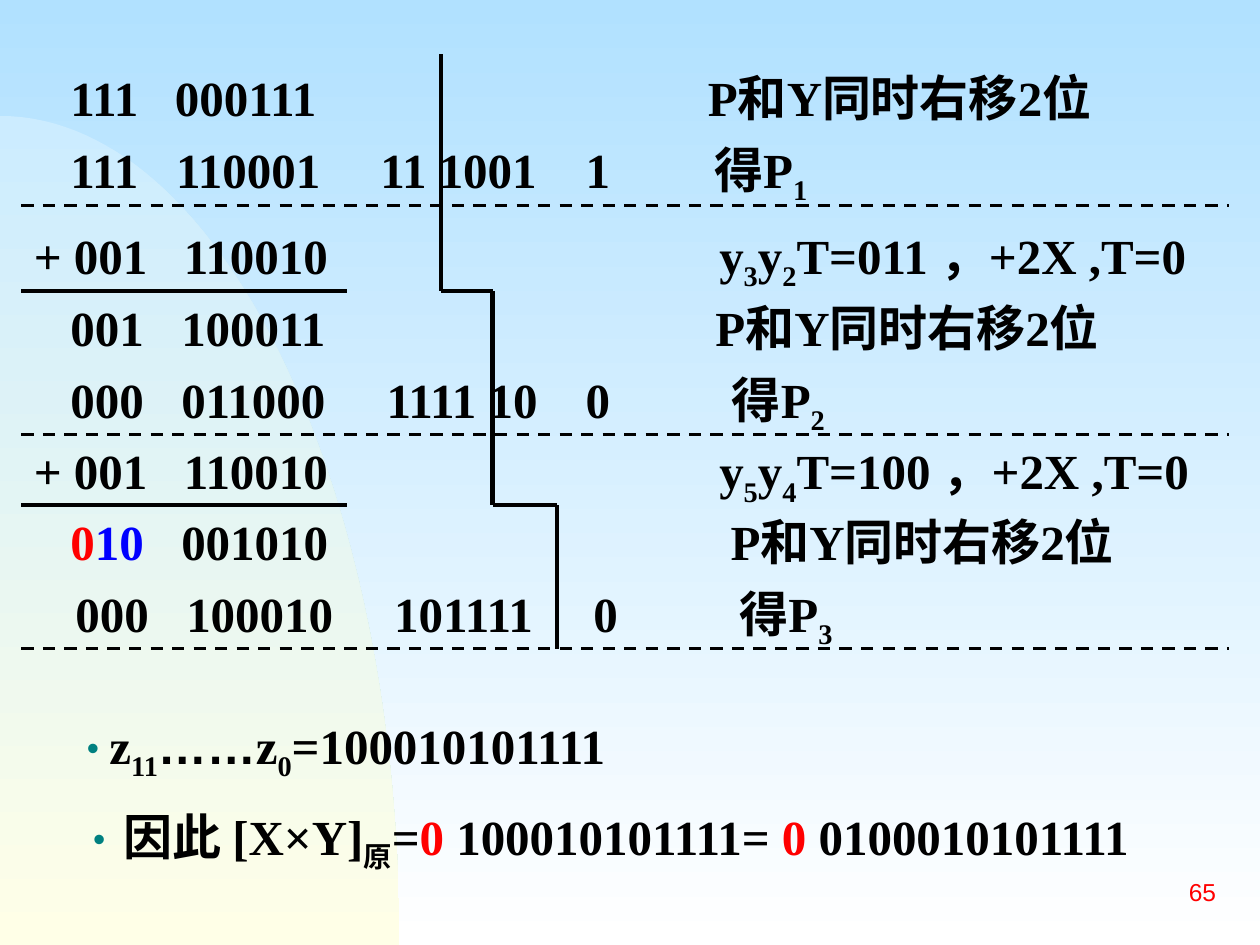
from lxml import etree
from pptx import Presentation
from pptx.dml.color import RGBColor
from pptx.enum.dml import MSO_LINE
from pptx.enum.shapes import MSO_CONNECTOR
from pptx.enum.text import MSO_ANCHOR, PP_ALIGN
from pptx.oxml.ns import qn
from pptx.util import Inches, Pt

STRAIGHT = MSO_CONNECTOR.STRAIGHT
DASH = MSO_LINE.DASH
MIDDLE = MSO_ANCHOR.MIDDLE
RIGHT = PP_ALIGN.RIGHT

BLACK, RED, BLUE, TEAL = "000000", "FF0000", "0000FF", "008080"
SKY = ("B1E1FF", "FFFFFF")
HILL = ("CCECFF", "FFFFE7")
HILL_CURVE = ((0, 0.92), (1.75, 0.92), (3.17, 3.87), (3.17, 7.5))
CURVE_STEPS = 60

BASE = {"name": "Times New Roman", "size": Pt(28), "bold": True}
SUB = {"sub": True}
SHIFT = "P和Y同时右移2位"

LEFT, WIDTH, INSET = 0.17, 9.58, 0.1
TEXT_LEFT = LEFT + INSET

STEPS = [
    (0.49, [(0.56, ["111"]), (1.39, ["000111"]), (5.62, [SHIFT])]),
    (1.06, [(0.56, ["111"]), (1.4, ["110001"]), (3.02, ["11 1001"]),
            (4.65, ["1"]), (5.67, ["得P", ("1", SUB)])]),
    (1.74, [(0.27, ["+ 001"]), (1.46, ["110010"]),
            (5.71, ["y", ("3", SUB), "y", ("2", SUB), "T=011 ，+2X ,T=0"])]),
    (2.31, [(0.56, ["001"]), (1.44, ["100011"]), (5.68, [SHIFT])]),
    (2.88, [(0.56, ["000"]), (1.44, ["011000"]), (3.07, ["1111 10"]),
            (4.65, ["0"]), (5.81, ["得P", ("2", SUB)])]),
    (3.45, [(0.27, ["+ 001"]), (1.46, ["110010"]),
            (5.71, ["y", ("5", SUB), "y", ("4", SUB), "T=100 ，+2X ,T=0"])]),
    (4.01, [(0.56, [("0", {"color": RED}), ("10", {"color": BLUE})]),
            (1.44, ["001010"]), (5.8, [SHIFT])]),
    (4.58, [(0.6, ["000"]), (1.48, ["100010"]), (3.13, ["101111"]),
            (4.71, ["0"]), (5.87, ["得P", ("3", SUB)])]),
]
RESULTS = [
    {"box": (5.47, 5.25, 0.79), "margin": 0.6, "hang": 0.18, "spacing": 1.3,
     "runs": ["z", ("11", SUB), ("……", {"name": "Arial"}), "z", ("0", SUB),
              "=100010101111"]},
    {"box": (6.35, 9.58, 0.63), "margin": 0.71, "hang": 0.24, "spacing": 1.0,
     "runs": ["因此 [X×Y]", ("原", SUB), "=", ("0", {"color": RED}),
              " 100010101111= ", ("0", {"color": RED}), " 0100010101111"]},
]
STEP_RULES = (1.63, 3.45, 5.15)
SUM_RULES = (2.31, 4.01)
SUM_RIGHT = 2.75
STAIRCASE = ((3.5, 0.43), (3.5, 2.31), (3.91, 2.31), (3.91, 4.01),
             (4.42, 4.01), (4.42, 5.15))
PAGE = ("65", {"name": "Arial", "size": Pt(14), "bold": False, "color": RED})


def rgb(value):
    return RGBColor.from_string(value)


def paint_gradient(fill, colors):
    fill.gradient()
    fill.gradient_angle = 270
    for stop, color, position in zip(fill.gradient_stops, colors, (0, 1)):
        stop.color.rgb = rgb(color)
        stop.position = position


def add_hill(slide):
    points = []
    for step in range(CURVE_STEPS + 1):
        t = step / CURVE_STEPS
        weights = ((1 - t) ** 3, 3 * t * (1 - t) ** 2, 3 * t * t * (1 - t), t ** 3)
        points.append(tuple(
            Inches(sum(w * p[axis] for w, p in zip(weights, HILL_CURVE)))
            for axis in (0, 1)))
    builder = slide.shapes.build_freeform(*points[0])
    builder.add_line_segments(points[1:] + [(0, Inches(7.5))], close=True)
    hill = builder.convert_to_shape()
    hill.shadow.inherit = False
    hill.line.fill.background()
    paint_gradient(hill.fill, HILL)


def add_line(slide, start, end, width=2.5, dash=None):
    line = slide.shapes.add_connector(
        STRAIGHT, *(Inches(value) for value in (*start, *end)))
    line.line.color.rgb = rgb(BLACK)
    line.line.width = Pt(width)
    if dash:
        line.line.dash_style = dash
    etree.SubElement(line._element.spPr, qn("a:effectLst"))


def add_box(slide, left, top, width, height, wrap=True):
    box = slide.shapes.add_textbox(*map(Inches, (left, top, width, height)))
    box.text_frame.word_wrap = wrap
    return box.text_frame


def add_runs(paragraph, pieces):
    for piece in pieces:
        text, changes = (piece, {}) if isinstance(piece, str) else piece
        look = {"color": BLACK, "sub": False, **BASE, **changes}
        run = paragraph.add_run()
        run.text = text
        run.font.color.rgb = rgb(look.pop("color"))
        if look.pop("sub"):
            run.font._element.set("baseline", "-25000")
        for attribute, value in look.items():
            setattr(run.font, attribute, value)


def add_step(slide, top, columns):
    paragraph = add_box(slide, LEFT, top, WIDTH, 0.6).paragraphs[0]
    tabs = etree.SubElement(paragraph._p.get_or_add_pPr(), qn("a:tabLst"))
    for x, pieces in columns:
        if x > TEXT_LEFT:
            etree.SubElement(tabs, qn("a:tab"),
                             pos=str(Inches(x - TEXT_LEFT)), algn="l")
            add_runs(paragraph, ["\t"])
        add_runs(paragraph, pieces)


def add_result(slide, box, margin, hang, spacing, runs):
    paragraph = add_box(slide, LEFT, *box).paragraphs[0]
    paragraph.line_spacing = spacing
    layout = paragraph._p.get_or_add_pPr()
    layout.set("marL", str(Inches(margin)))
    layout.set("indent", str(Inches(-hang)))
    color = etree.SubElement(layout, qn("a:buClr"))
    etree.SubElement(color, qn("a:srgbClr"), val=TEAL)
    etree.SubElement(layout, qn("a:buSzPct"), val="71000")
    etree.SubElement(layout, qn("a:buFont"), typeface="Arial")
    etree.SubElement(layout, qn("a:buChar"), char="•")
    add_runs(paragraph, runs)


def main():
    deck = Presentation()
    deck.slide_width, deck.slide_height = Inches(10), Inches(7.5)
    slide = deck.slides.add_slide(deck.slide_layouts[6])
    paint_gradient(slide.background.fill, SKY)
    add_hill(slide)
    for top, columns in STEPS:
        add_step(slide, top, columns)
    for y in STEP_RULES:
        add_line(slide, (LEFT, y), (LEFT + WIDTH, y), 1.75, DASH)
    for y in SUM_RULES:
        add_line(slide, (LEFT, y), (SUM_RIGHT, y))
    for start, end in zip(STAIRCASE, STAIRCASE[1:]):
        add_line(slide, start, end)
    for result in RESULTS:
        add_result(slide, **result)
    page = add_box(slide, 7.67, 6.83, 2.08, 0.5, wrap=False)
    page.vertical_anchor = MIDDLE
    page.paragraphs[0].alignment = RIGHT
    add_runs(page.paragraphs[0], [PAGE])
    deck.save("out.pptx")


if __name__ == "__main__":
    main()
